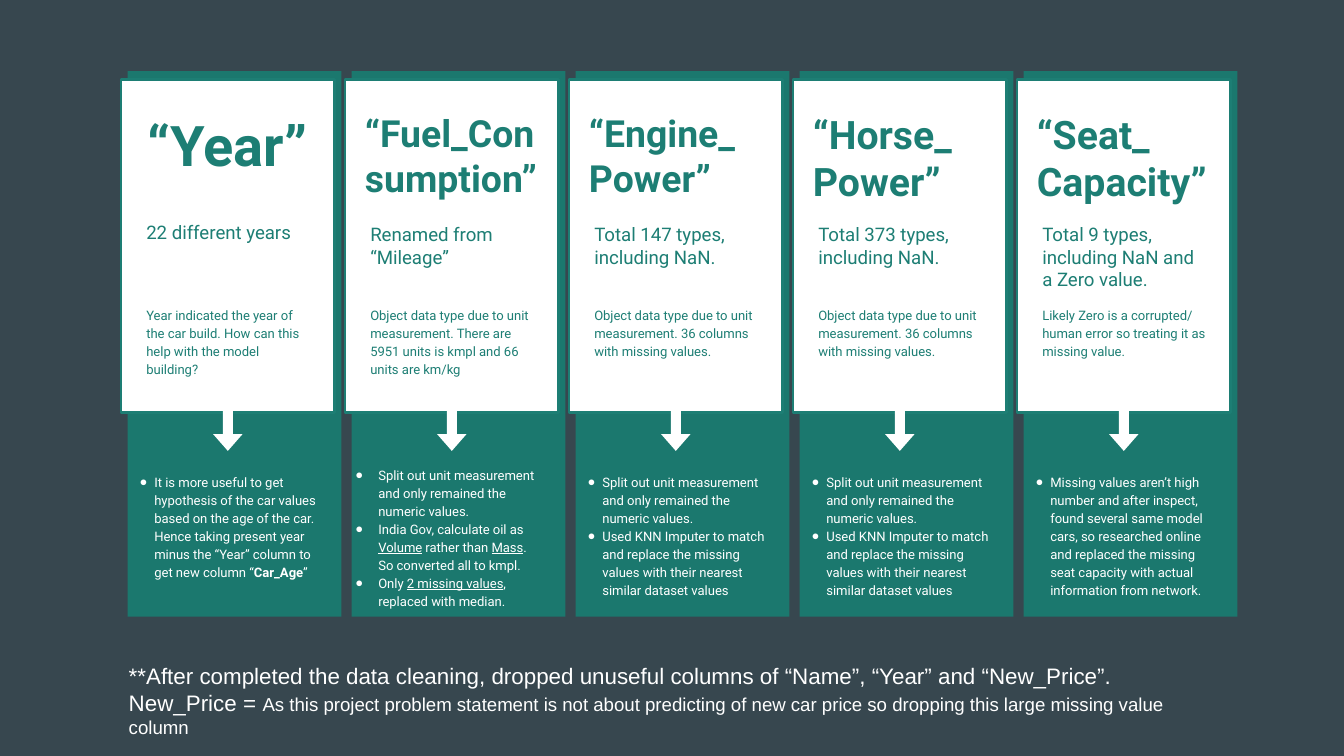
from dataclasses import dataclass
from typing import NamedTuple

from lxml import etree
from pptx import Presentation
from pptx import util as u
from pptx.dml.color import RGBColor
from pptx.enum import shapes, text
from pptx.oxml import ns

SLATE = RGBColor(0x37, 0x47, 0x4F)
PANEL_GREEN = RGBColor(0x1B, 0x78, 0x6E)
TEXT_GREEN = RGBColor(0x1D, 0x7E, 0x74)
WHITE = RGBColor(0xFF, 0xFF, 0xFF)
FIRST_LEFT = 0.95
PITCH = 5 / 3
BODY_SPACING = 1.15


class Span(NamedTuple):
    words: str
    style: dict = {}


class Bullet(NamedTuple):
    indent: float
    color: RGBColor


class Area(NamedTuple):
    left: float
    top: float
    width: float
    height: float

    def lengths(self) -> list:
        return [u.Inches(value) for value in self]


@dataclass
class Feature:
    title: list[str]
    title_size: int
    title_area: Area
    summary: str
    detail: str
    actions: list[list[Span]]
    actions_top: float = 3.41
    hanging: float = 0.11


def add_block(parent, kind, area: Area, fill: RGBColor, line: RGBColor | None = None):
    block = parent.shapes.add_shape(kind, *area.lengths())
    block.shadow.inherit = False
    block.fill.solid()
    block.fill.fore_color.rgb = fill
    if line is None:
        block.line.fill.background()
    else:
        block.line.color.rgb = line
        block.line.width = u.Pt(1.5)
    return block


def add_bullet(para, bullet: Bullet) -> None:
    properties = para._p.get_or_add_pPr()
    properties.set("marL", str(u.Inches(0.25)))
    properties.set("indent", str(-u.Inches(bullet.indent)))
    color = etree.SubElement(properties, ns.qn("a:buClr"))
    etree.SubElement(color, ns.qn("a:srgbClr"), val=str(bullet.color))
    etree.SubElement(properties, ns.qn("a:buFont"), typeface="Arial")
    etree.SubElement(properties, ns.qn("a:buChar"), char="●")


def add_text(parent, area: Area, paragraphs: list[list[Span]], size: float,
             color: RGBColor, bold: bool = False, font: str = "Roboto",
             spacing: float | None = None, bullet: Bullet | None = None,
             anchor=text.MSO_ANCHOR.TOP) -> None:
    frame = parent.shapes.add_textbox(*area.lengths()).text_frame
    frame.word_wrap = True
    frame.vertical_anchor = anchor
    for side in ("left", "top", "right", "bottom"):
        setattr(frame, f"margin_{side}", u.Inches(0.1))
    for index, spans in enumerate(paragraphs):
        para = frame.add_paragraph() if index else frame.paragraphs[0]
        if spacing:
            para.line_spacing = spacing
        if bullet:
            add_bullet(para, bullet)
        for span in spans:
            run = para.add_run()
            run.text = span.words
            style = {"name": font, "size": u.Pt(size), "bold": bold} | span.style
            for name, value in style.items():
                setattr(run.font, name, value)
            run.font.color.rgb = color


def add_feature(page, feature: Feature, left: float) -> None:
    group = page.shapes.add_group_shape()
    rectangle = shapes.MSO_SHAPE.RECTANGLE
    add_block(group, rectangle, Area(left, 0.53, 1.59, 4.06), PANEL_GREEN)
    add_block(group, rectangle, Area(left - 0.05, 0.59, 1.59, 2.48), WHITE, TEXT_GREEN)
    add_text(group, Area(left + 0.04, 1.56, 1.42, 0.61), [[Span(feature.summary)]],
             10, TEXT_GREEN)
    add_text(group, Area(left + 0.04, 2.17, 1.42, 0.83), [[Span(feature.detail)]],
             7, TEXT_GREEN, spacing=BODY_SPACING)
    title_area = feature.title_area._replace(left=left + feature.title_area.left)
    add_text(group, title_area, [[Span(line)] for line in feature.title],
             feature.title_size, TEXT_GREEN, bold=True)
    arrow = add_block(group, shapes.MSO_SHAPE.RIGHT_ARROW,
                      Area(left + 0.55, 3.05, 0.39, 0.22), WHITE)
    arrow.rotation = 90
    arrow.adjustments[0] = 0.34
    arrow.adjustments[1] = 0.57
    add_text(group, Area(left - 0.15, feature.actions_top, 1.68, 1.08), feature.actions,
             7, WHITE, spacing=BODY_SPACING, bullet=Bullet(feature.hanging, WHITE))


BOLD = {"bold": True}
UNDERLINED = {"underline": True}
SPLIT_UNITS = [Span("Split out unit measurement and only remained the numeric values.")]
IMPUTE = [Span("Used KNN Imputer to match and replace the missing values with their "
               "nearest similar dataset values")]
UNIT_DETAIL = "Object data type due to unit measurement. 36 columns with missing values."

FEATURES = [
    Feature(
        ["“Year”"], 30, Area(0.05, 0.72, 1.42, 0.67), "22 different years",
        "Year indicated the year of the car build. How can this help with the model building?",
        [[Span("It is more useful to get hypothesis of the car values based on the age of "
               "the car. Hence taking present year minus the “Year” column to get new column “"),
          Span("Car_Age", BOLD), Span("”")]]),
    Feature(
        ["“Fuel_Consumption”"], 20, Area(0, 0.72, 1.51, 0.67), "Renamed from “Mileage”",
        "Object data type due to unit measurement. There are 5951 units is kmpl and 66 "
        "units are km/kg",
        [SPLIT_UNITS,
         [Span("India Gov, calculate oil as "), Span("Volume", UNDERLINED),
          Span(" rather than "), Span("Mass", UNDERLINED),
          Span(". So converted all to kmpl.")],
         [Span("Only "), Span("2 missing values", UNDERLINED),
          Span(", replaced with median.")]],
        actions_top=3.36, hanging=0.17),
    Feature(
        ["“Engine_", "Power”"], 20, Area(0, 0.72, 1.51, 0.79),
        "Total 147 types, including NaN.", UNIT_DETAIL, [SPLIT_UNITS, IMPUTE]),
    Feature(
        ["“Horse_", "Power”"], 21, Area(0, 0.72, 1.51, 0.83),
        "Total 373 types, including NaN.", UNIT_DETAIL, [SPLIT_UNITS, IMPUTE]),
    Feature(
        ["“Seat_", "Capacity”"], 21, Area(0, 0.72, 1.53, 0.83),
        "Total 9 types, including NaN and a Zero value.",
        "Likely Zero is a corrupted/ human error so treating it as missing value.",
        [[Span("Missing values aren’t high number and after inspect, found several same "
               "model cars, so researched online and replaced the missing seat capacity "
               "with actual information from network.")]]),
]

CLOSING_NOTE = [
    [Span("**After completed the data cleaning, dropped unuseful columns of “Name”, “Year” "
          "and “New_Price”.")],
    [Span("New_Price = "),
     Span("As this project problem statement is not about predicting of new car price so "
          "dropping this large missing value column", {"size": u.Pt(10)})],
]


def main() -> None:
    deck = Presentation()
    deck.slide_width = u.Inches(10)
    deck.slide_height = deck.slide_width * 9 // 16
    page = deck.slides.add_slide(deck.slide_layouts[6])
    page.background.fill.solid()
    page.background.fill.fore_color.rgb = SLATE
    for index, feature in enumerate(FEATURES):
        add_feature(page, feature, FIRST_LEFT + index * PITCH)
    add_text(page, Area(0.86, 4.88, 8.34, 0.66), CLOSING_NOTE, 12, WHITE,
             font="Arial", anchor=text.MSO_ANCHOR.MIDDLE)
    deck.save("out.pptx")


if __name__ == "__main__":
    main()
